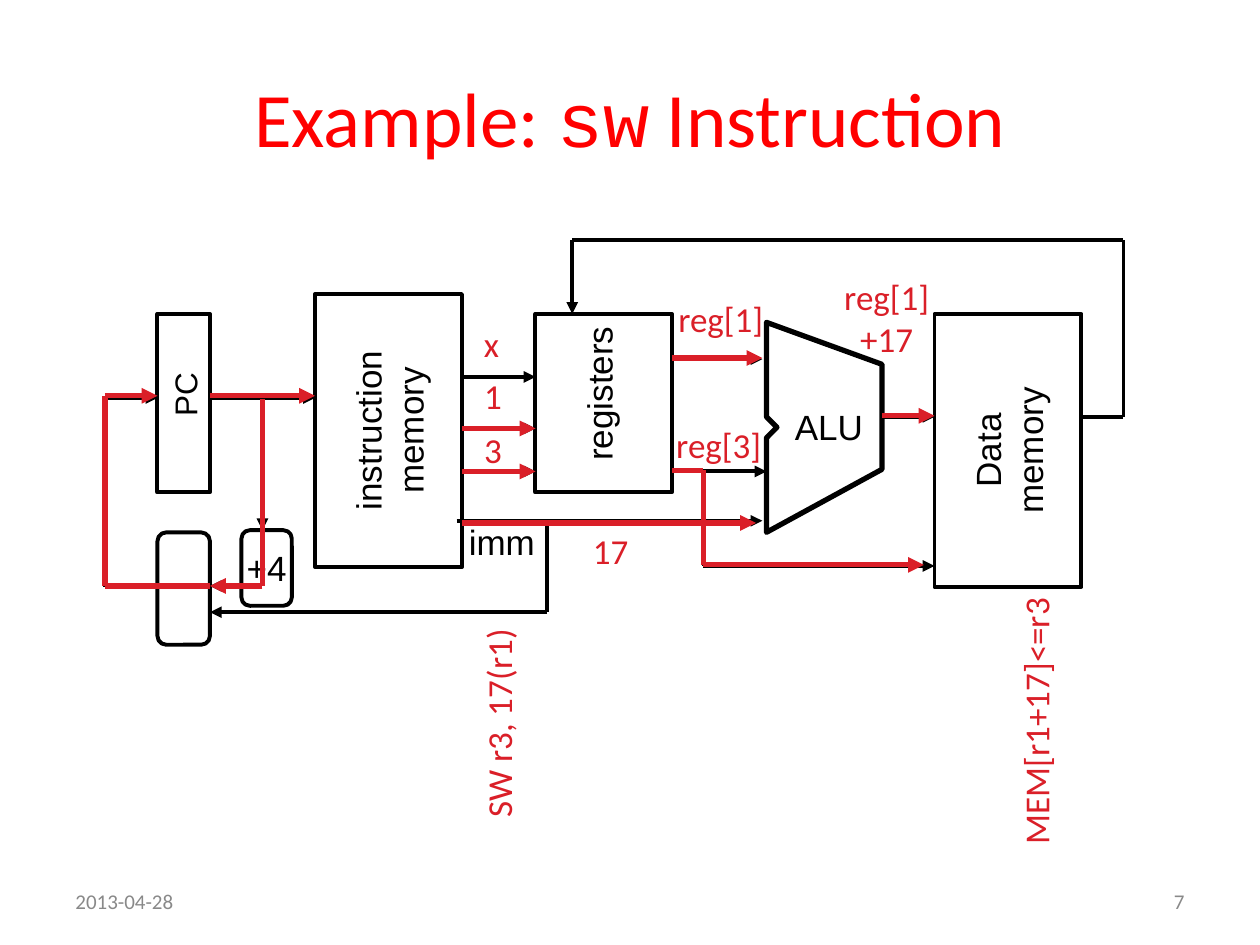
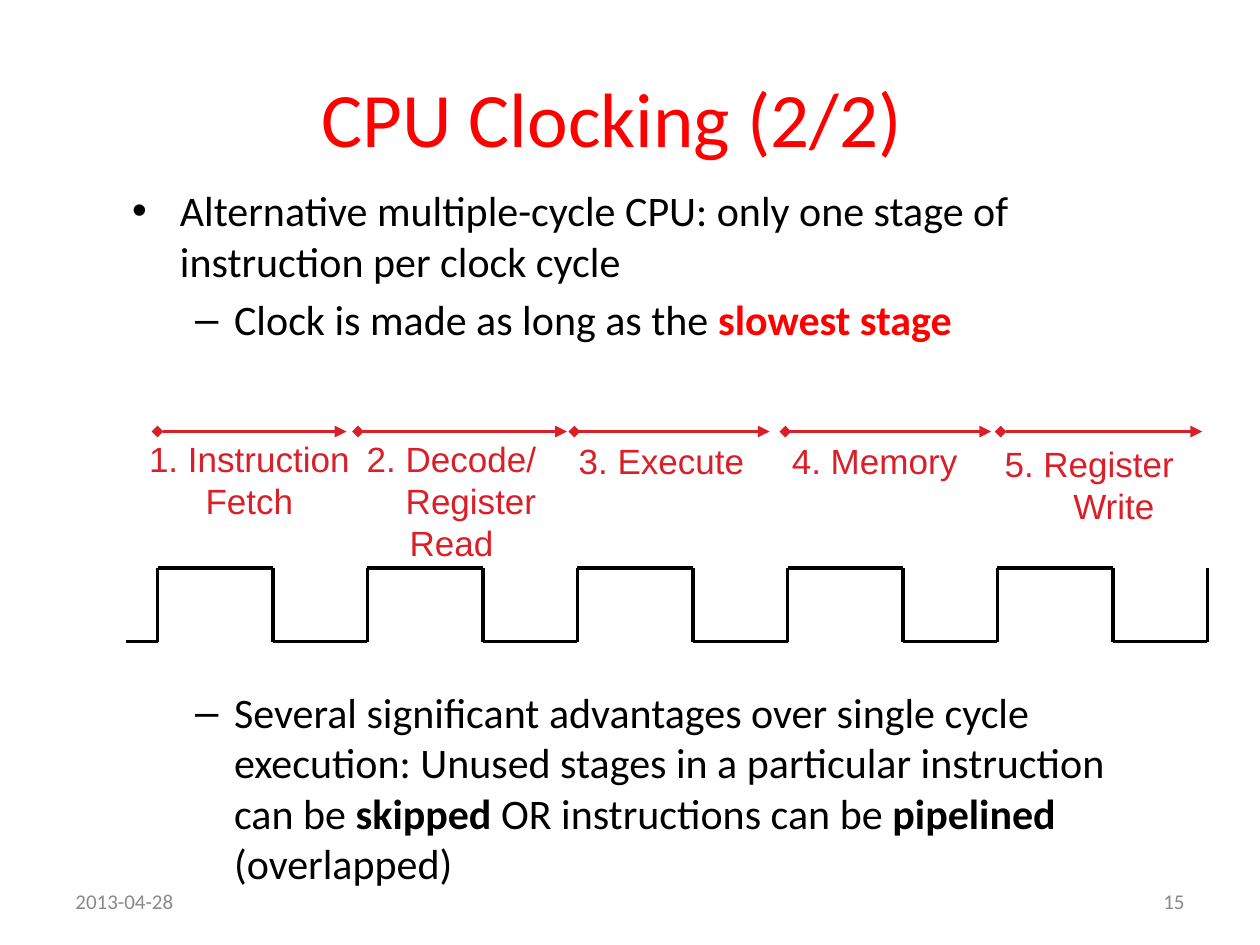
from itertools import pairwise

from lxml import etree
from pptx import Presentation
from pptx.dml.color import RGBColor
from pptx.enum.shapes import MSO_CONNECTOR, MSO_SHAPE
from pptx.enum.text import MSO_ANCHOR, PP_ALIGN
from pptx.oxml.ns import qn
from pptx.util import Inches, Pt

LINE = MSO_CONNECTOR.STRAIGHT
RECT, ROUND = MSO_SHAPE.RECTANGLE, MSO_SHAPE.ROUNDED_RECTANGLE
LEFT, MID, RIGHT = PP_ALIGN.LEFT, PP_ALIGN.CENTER, PP_ALIGN.RIGHT
TOP, CORE = MSO_ANCHOR.TOP, MSO_ANCHOR.MIDDLE

# Grid of 120 columns by 90 rows
UNIT = Inches(10) // 120
INK = {name: RGBColor.from_string(code) for name, code in {
    "black": "000000", "white": "FFFFFF", "title": "FF0000",
    "red": "DA1F28", "grey": "898989"}.items()}


def place(slide, at, paras, ink="red", face="Calibri", size=20, align=MID,
          anchor=CORE, turn=0, kind=None):
    """Add a box of text; a paragraph is a string or a list of (text, style)."""
    spot = [round(v * UNIT) for v in at]
    if kind is None:
        box = slide.shapes.add_textbox(*spot)
    else:
        box = slide.shapes.add_shape(kind, *spot)
        box.shadow.inherit = False
        box.fill.solid()
        box.fill.fore_color.rgb = INK["white"]
        box.line.color.rgb = INK["black"]
        box.line.width = Pt(2.25)
    box.rotation = turn
    frame = box.text_frame
    frame.word_wrap = align != MID
    frame.vertical_anchor = anchor
    for n, para in enumerate(paras):
        p = frame.add_paragraph() if n else frame.paragraphs[0]
        p.alignment = align
        p.font.name, p.font.size = face, Pt(size)
        p.font.color.rgb = INK[ink]
        for text, style in [(para, {})] if isinstance(para, str) else para:
            run = p.add_run()
            run.text = text
            if "face" in style:
                run.font.name = style["face"]
            if "bold" in style:
                run.font.bold = True
            if "ink" in style:
                run.font.color.rgb = INK[style["ink"]]
    return frame.paragraphs


def wire(slide, dots, ink="black", width=2.25, head=None, tail="triangle"):
    """Join the dots with straight lines, with ends on the first and last."""
    parts = []
    for start, end in pairwise(dots):
        part = slide.shapes.add_connector(
            LINE, *[round(v * UNIT) for v in (*start, *end)])
        part.line.color.rgb = INK[ink]
        part.line.width = Pt(width)
        etree.SubElement(part._element.spPr, qn("a:effectLst"))
        parts.append(part)
    for part, tag, form in ((parts[0], "a:headEnd", head),
                            (parts[-1], "a:tailEnd", tail)):
        if form:
            etree.SubElement(part.line._get_or_add_ln(), qn(tag), type=form)


deck = Presentation()
deck.slide_width, deck.slide_height = 120 * UNIT, 90 * UNIT

# Shared title and footers
pages = []
for title, wide, number in (
        ([("Example: ", {}), ("sw", {"face": "Courier New"}),
          (" Instruction", {})], 108, "7"),
        ("CPU Clocking (2/2)", 104.6, "15")):
    page = deck.slides.add_slide(deck.slide_layouts[6])
    place(page, (6, 3.6, wide, 15), [title], "title", size=44)
    for col, text, align in ((6, "2013-04-28", LEFT), (86, number, RIGHT)):
        place(page, (col, 83.4, 28, 4.8), [text], "grey", size=12, align=align)
    pages.append(page)
path_page, clock_page = pages

# Datapath: blocks
for kind, at, turn, paras in (
        (RECT, (15, 29.9, 5, 17), 0, []),
        (RECT, (24, 34, 26, 14), 270, ["instruction", "memory"]),
        (ROUND, (23, 50.5, 4.8, 7.2), 0, ["+4"]),
        (RECT, (51, 29.9, 13, 17), 0, []),
        (RECT, (83, 35.9, 26, 14), 270, ["Data", "memory"]),
        (ROUND, (15, 50.7, 5, 10.7), 0, [])):
    place(path_page, at, paras, "black", "Arial", turn=turn, kind=kind)

# Datapath: ALU outline
rim = [(round(x * UNIT), round(y * UNIT)) for x, y in (
    (73, 30.7), (84, 34.7), (84, 44.7), (73, 50.7),
    (73, 41.7), (74, 40.7), (73, 39.7))]
pen = path_page.shapes.build_freeform(*rim[0], scale=1.0)
pen.add_line_segments(rim[1:], close=True)
alu = pen.convert_to_shape()
alu.shadow.inherit = False
alu.fill.background()
alu.line.color.rgb = INK["black"]
alu.line.width = Pt(3)

# Datapath: block names
for at, text, size, turn in (
        ((49.4, 34.9, 15.2, 5.2), "registers", 20, 270),
        ((74.5, 38, 8.9, 5.2), "ALU", 20, 0),
        ((43.4, 49, 8.8, 5.2), "imm", 20, 0),
        ((14.3, 35.2, 6.6, 4.8), "PC", 18, 270)):
    place(path_page, at, [text], "black", "Arial", size, turn=turn)

# Datapath: all wires
for dots in (
        [(20, 37.9), (30, 37.9)],
        *([(44, row), (51, row)] for row in (35.9, 40.8, 44.9)),
        [(64, 44.9), (73, 44.9)],
        [(43.5, 49.6), (72.6, 49.6)],
        [(64, 34.2), (72.6, 34.2)],
        [(84, 39.7), (89, 39.7)],
        [(67, 44.9), (67, 53.9), (89, 53.9)],
        [(103, 39.7), (107, 39.7), (107, 22.9), (54.5, 22.9), (54.5, 29.9)],
        [(25, 37.9), (25, 50.5)],
        [(23, 55.8), (20, 55.8)],
        [(52.1, 49.6), (52.1, 58.3), (20, 58.3)],
        [(15, 55.9), (10, 55.9), (10, 37.9), (15, 37.9)]):
    wire(path_page, dots)

# Datapath: wires that sw uses
for dots in (
        [(20, 37.7), (30, 37.7)],
        *([(44, row), (51, row)] for row in (40.8, 44.9)),
        [(44, 49.8), (72, 49.8)],
        [(64, 34.1), (72.6, 34.1)],
        [(84, 39.6), (89, 39.6)],
        [(64, 44.8), (67, 44.8), (67, 53.8), (88, 53.8)],
        [(25, 38), (25, 55.8), (20, 55.8)],
        [(20, 55.8), (10, 55.8), (10, 37.7), (15, 37.7)]):
    wire(path_page, dots, "red", 3)

# Datapath: values on the wires
for at, paras, turn in (
        ((44.9, 30.1, 3.8, 5.2), ["x"], 0),
        ((44.8, 35.1, 4.3, 5.2), ["1"], 0),
        ((44.8, 40.2, 4.3, 5.2), ["3"], 0),
        ((55.2, 49.8, 5.9, 5.2), ["17"], 0),
        ((63.2, 27.7, 10.9, 5.2), ["reg[1]"], 0),
        ((63, 39.7, 10.9, 5.2), ["reg[3]"], 0),
        ((79.2, 25.6, 10.5, 9.2), ["reg[1]", "+17"], 0),
        ((37.2, 66.3, 20.5, 5.2), ["SW r3, 17(r1)"], 270),
        ((85.6, 66.1, 26, 5.2), ["MEM[r1+17]<=r3"], 270)):
    place(path_page, at, paras, turn=turn)

# Clocking: bullets above and below the diagram
bold = {"bold": True}
first = place(clock_page, (11.4, 17, 97.2, 22), [
    "Alternative multiple-cycle CPU: only one stage of instruction "
    "per clock cycle",
    [("Clock is made as long as the ", {}),
     ("slowest stage", {"bold": True, "ink": "title"})]],
    "black", size=24, align=LEFT, anchor=TOP)
last = place(clock_page, (11.4, 64.8, 97.2, 20.2), [
    [("Several significant advantages over single cycle execution: Unused "
      "stages in a particular instruction can be ", {}), ("skipped", bold),
     (" OR instructions can be ", {}), ("pipelined", bold),
     (" (overlapped)", {})]],
    "black", size=24, align=LEFT, anchor=TOP)
for p, mark, left, hang in ((first[0], "•", 0.38, 0.38),
                            (first[1], "–", 0.81, 0.31),
                            (last[0], "–", 0.81, 0.31)):
    p.space_before = Pt(4.8)
    props = p._p.get_or_add_pPr()
    props.set("marL", str(Inches(left)))
    props.set("indent", str(-Inches(hang)))
    base = props.find(qn("a:defRPr"))
    base.addprevious(etree.Element(qn("a:buFont"), typeface="Arial"))
    base.addprevious(etree.Element(qn("a:buChar"), char=mark))

# Clocking: stages, each with a span, a label and a shift of its second line
for start, end, at, paras, shift in (
        (15, 33, (13, 41.1, 21.5, 9.2), ["1. Instruction", "Fetch"], 0),
        (34.1, 54, (33.7, 41.1, 18.6, 13.2),
         ["2. Decode/", "Register", "Read"], 0.31),
        (54.7, 73.3, (53, 41.3, 20, 5.2), ["3. Execute"], 0),
        (74.8, 94.4, (73.3, 41.3, 20, 5.2), ["4. Memory"], 0),
        (95.3, 114.5, (94.4, 41.5, 18.7, 9.2), ["5. Register", "Write"], 0.39)):
    wire(clock_page, [(start, 41.1), (end, 41.1)], "red", head="diamond")
    lines = place(clock_page, at, paras, face="Arial")
    if shift:
        lines[1]._p.get_or_add_pPr().set("marL", str(Inches(shift)))

# Clocking: square wave, one pulse every 20 columns
high, low = 54.1, 61.1
wave = [(12, low)]
for col in range(15, 115, 20):
    wave += [(col, low), (col, high), (col + 11, high), (col + 11, low)]
wave += [(115, low), (115, high)]
wire(clock_page, wave, tail=None)

deck.save("out.pptx")
